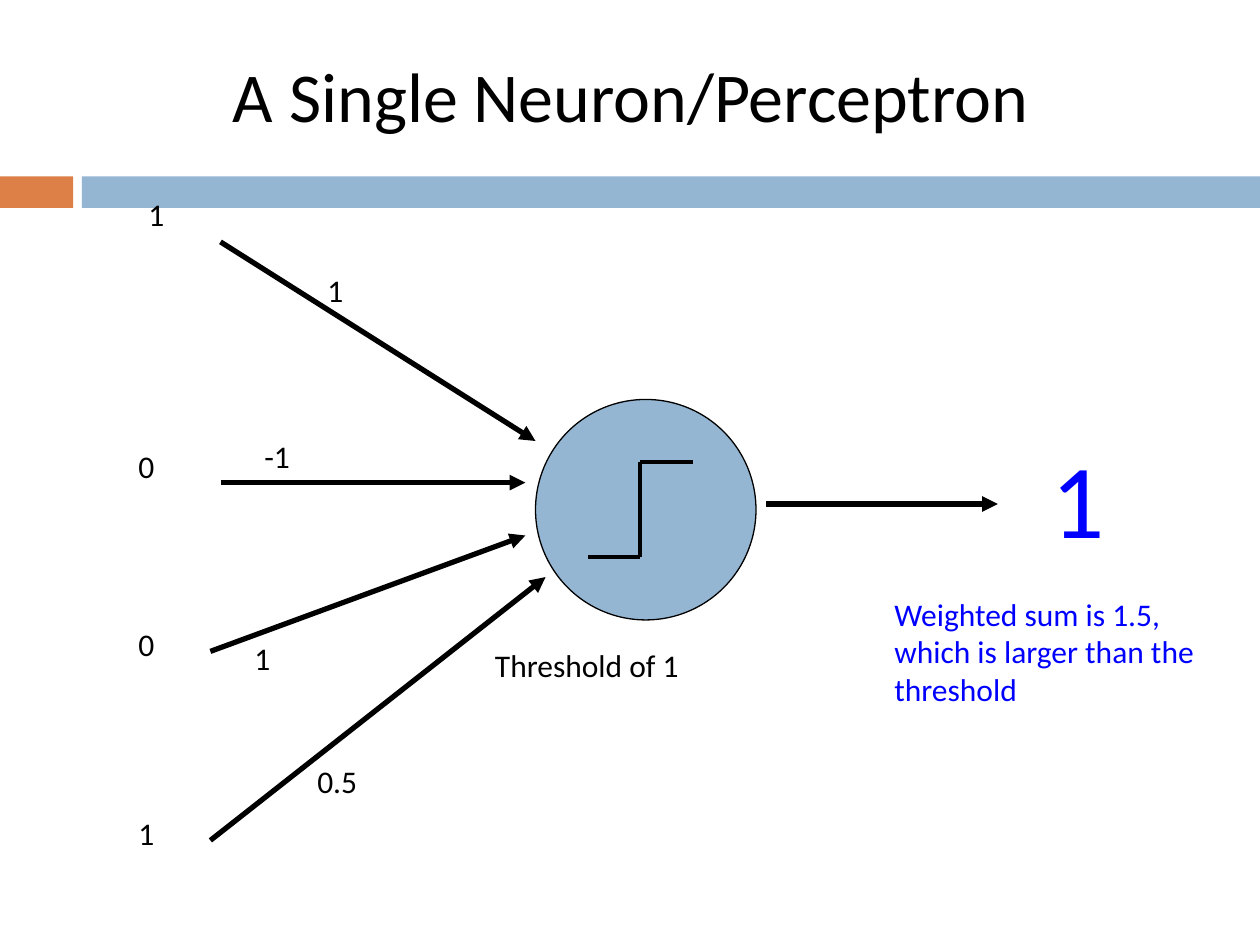
import pptx
import pptx.dml.color
import pptx.enum.shapes
import pptx.enum.text
import pptx.oxml
import pptx.oxml.ns
import pptx.util
from pptx.util import Inches

COLORS = {"orange": "DD8047", "blue": "94B6D2", "black": "000000", "answer": "0000FF"}
SHAPE = pptx.enum.shapes.MSO_SHAPE
ALIGN = pptx.enum.text.PP_ALIGN

prs = pptx.Presentation()
prs.slide_width, prs.slide_height = Inches(10), Inches(7.5)
s = prs.slides.add_slide(prs.slide_layouts[6])


def rgb(name):
    return pptx.dml.color.RGBColor.from_string(COLORS[name])


def add_text(text, x, y, w, h, size=18, color="black", align=ALIGN.LEFT):
    tf = s.shapes.add_textbox(Inches(x), Inches(y), Inches(w), Inches(h)).text_frame
    tf.word_wrap = True
    p = tf.paragraphs[0]
    p.alignment = align
    r = p.add_run()
    r.text = text
    r.font.name = "Calibri"
    r.font.size = pptx.util.Pt(size)
    r.font.color.rgb = rgb(color)


# Header band and neuron body
for kind, x, y, w, h, fill in [
    (SHAPE.RECTANGLE, 0, 1.4, 0.58, 0.25, "orange"),
    (SHAPE.RECTANGLE, 0.65, 1.4, 9.35, 0.25, "blue"),
    (SHAPE.OVAL, 4.25, 3.17, 1.75, 1.75, "blue"),
]:
    sp = s.shapes.add_shape(kind, Inches(x), Inches(y), Inches(w), Inches(h))
    sp.shadow.inherit = False
    sp.fill.solid()
    sp.fill.fore_color.rgb = rgb(fill)
    if kind == SHAPE.OVAL:
        sp.line.color.rgb = rgb("black")
        sp.line.width = pptx.util.Pt(0.75)
    else:
        sp.line.fill.background()

# Output arrow, four input arrows, then the step function
arrows = [
    (6.08, 4, 7.92, 4),
    (1.75, 1.92, 4.25, 3.5),
    (1.75, 3.83, 4.17, 3.83),
    (1.67, 5.17, 4.17, 4.25),
    (1.67, 6.67, 4.33, 4.58),
]
step = [(4.67, 4.42), (5.08, 4.42), (5.08, 3.67), (5.5, 3.67)]
steps = [a + b for a, b in zip(step, step[1:])]
for ends in arrows + steps:
    cxn = s.shapes.add_connector(
        pptx.enum.shapes.MSO_CONNECTOR.STRAIGHT, *[Inches(v) for v in ends])
    cxn.line.color.rgb = rgb("black")
    cxn.line.width = pptx.util.Pt(3 if ends in arrows else 2.25)
    if ends in arrows:
        tail = pptx.oxml.parse_xml(
            f'<a:tailEnd {pptx.oxml.ns.nsdecls("a")} type="triangle"/>')
        cxn.line._get_or_add_ln().append(tail)
    cxn._element.spPr.append(
        pptx.oxml.parse_xml(f'<a:effectLst {pptx.oxml.ns.nsdecls("a")}/>'))

# Weights along the arrows
for text, x, y in [("1", 2.5, 2.1), ("-1", 2, 3.42), ("1", 1.92, 5.02), ("0.5", 2.42, 6)]:
    add_text(text, x, y, 1.5, 0.4)

# Input values
for text, x, y in [("1", 1.08, 1.5), ("0", 1, 3.5), ("0", 1, 4.91), ("1", 1, 6.41)]:
    add_text(text, x, y, 0.67, 0.5)

# Title, threshold and result
add_text("A Single Neuron/Perceptron", 0.42, 0.37, 9.17, 0.77, size=40, align=ALIGN.CENTER)
add_text("Threshold of 1", 3.83, 5.08, 2.75, 0.5)
add_text("1", 8.25, 3.39, 1.5, 1.11, size=60, color="answer")
add_text("Weighted sum is 1.5, which is larger than the threshold",
         7, 4.67, 2.67, 1.01, color="answer")

prs.save("out.pptx")
